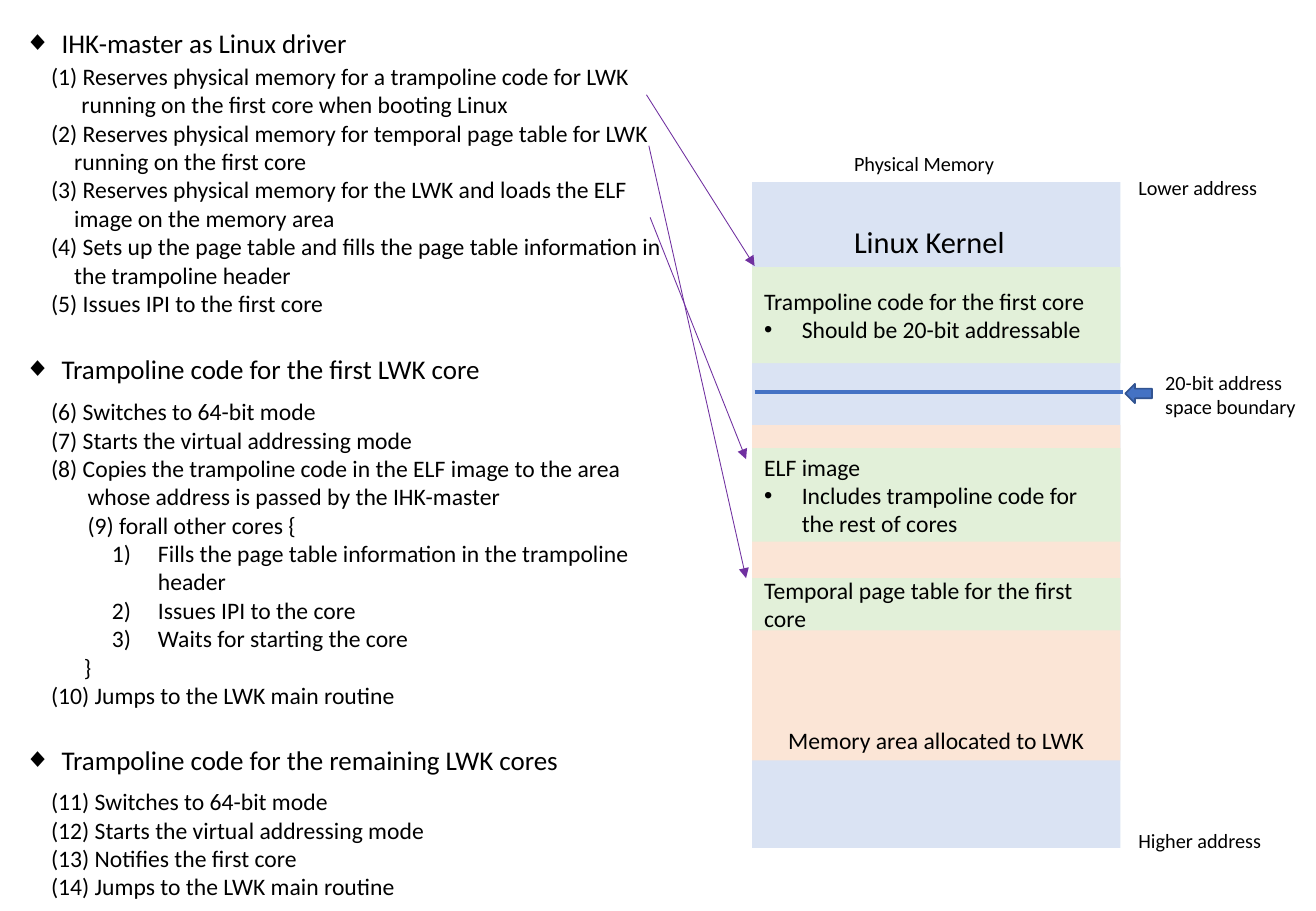
from dataclasses import dataclass
from typing import NamedTuple

from lxml.etree import SubElement
from pptx import Presentation
from pptx.dml.color import RGBColor
from pptx.enum.shapes import MSO_CONNECTOR, MSO_SHAPE
from pptx.enum.text import MSO_ANCHOR, MSO_AUTO_SIZE, PP_ALIGN
from pptx.oxml.ns import qn
from pptx.util import Inches, Pt

COLORS = {
    "text": "000000",
    "kernel": "DAE3F3",
    "lwk": "FBE5D6",
    "loaded": "E2F0D9",
    "boundary": "4472C4",
    "boundary_edge": "325491",
    "link": "7030A0",
}
MEMORY_LEFT, MEMORY_WIDTH = 6.19, 3.03


class Item(NamedTuple):
    text: str
    left: float = 0
    hang: float = 0
    bullet: str = ""


@dataclass
class Section:
    heading: str
    heading_top: float
    top: float
    width: float
    height: float
    holder: int
    items: list[Item]


@dataclass
class Region:
    top: float
    height: float
    color: str
    items: list[Item]
    anchor: MSO_ANCHOR = MSO_ANCHOR.MIDDLE
    align: PP_ALIGN = PP_ALIGN.LEFT


@dataclass
class Label:
    text: str
    left: float
    top: float
    width: float
    height: float = 0.3
    size: float = 12


@dataclass
class Line:
    start: tuple[float, float]
    end: tuple[float, float]
    color: str = "link"
    width: float = 0.5
    arrow: bool = True


SECTIONS = [
    Section("IHK-master as Linux driver", 0.17, 0.46, 5.42, 2.22, 1, [
        Item("(1) Reserves physical memory for a trampoline code for LWK running on the first core when booting Linux", 0.25, 0.25),
        Item("(2) Reserves physical memory for temporal page table for LWK running on the first core", 0.19, 0.19),
        Item("(3) Reserves physical memory for the LWK and loads the ELF image on the memory area", 0.19, 0.19),
        Item("(4) Sets up the page table and fills the page table information in the trampoline header", 0.19, 0.19),
        Item("(5) Issues IPI to the first core", 0.19, 0.19),
    ]),
    Section("Trampoline code for the first LWK core", 2.85, 3.22, 5.35, 2.69, 2, [
        Item("(6) Switches to 64-bit mode"),
        Item("(7) Starts the virtual addressing mode"),
        Item("(8) Copies the trampoline code in the ELF image to the area whose address is passed by the IHK-master", 0.3, 0.3),
        Item("(9) forall other cores {", 0.3),
        Item("Fills the page table information in the trampoline header", 0.88, 0.38, "1)"),
        Item("Issues IPI to the core", 0.88, 0.38, "1)"),
        Item("Waits for starting the core", 0.88, 0.38, "1)"),
        Item("}", 0.27),
        Item("(10) Jumps to the LWK main routine"),
    ]),
    Section("Trampoline code for the remaining LWK cores", 6.07, 6.43, 5.87, 1.04, 3, [
        Item("(11) Switches to 64-bit mode", 0.3, 0.3),
        Item("(12) Starts the virtual addressing mode", 0.3, 0.3),
        Item("(13) Notifies the first core", 0.3, 0.3),
        Item("(14) Jumps to the LWK main routine", 0.3, 0.3),
    ]),
]
REGIONS = [
    Region(1.5, 5.48, "kernel", []),
    Region(2.2, 0.79, "loaded", [
        Item("Trampoline code for the first core"),
        Item("Should be 20-bit addressable", 0.31, 0.31, "•"),
    ]),
    Region(3.5, 2.76, "lwk", [Item("Memory area allocated to LWK")],
           MSO_ANCHOR.BOTTOM, PP_ALIGN.CENTER),
    Region(3.69, 0.77, "loaded", [
        Item("ELF image"),
        Item("Includes trampoline code for the rest of cores", 0.31, 0.31, "•"),
    ]),
    Region(4.76, 0.43, "loaded", [Item("Temporal page table for the first core")]),
]
LABELS = [
    Label("Physical Memory", 6.93, 1.2, 1.41),
    Label("Linux Kernel", 6.93, 1.79, 1.46, 0.4, 18),
    Label("Lower address", 9.27, 1.39, 1.2),
    Label("20-bit address space boundary", 9.49, 3, 1.33, 0.5),
    Label("Higher address", 9.27, 6.77, 1.38),
]
LINES = [
    Line((6.21, 3.23), (9.24, 3.23), "boundary", 2.25, False),
    Line((5.32, 0.78), (6.21, 2.19)),
    Line((5.34, 1.2), (6.14, 4.76)),
    Line((5.35, 1.79), (6.14, 3.78)),
]


def rgb(name: str) -> RGBColor:
    return RGBColor.from_string(COLORS[name])


def set_bullet(p, item: Item) -> None:
    pPr = p._p.get_or_add_pPr()
    pPr.set("marL", str(Inches(item.left)))
    pPr.set("indent", str(-Inches(item.hang)))
    if item.bullet == "1)":
        SubElement(pPr, qn("a:buAutoNum"), type="arabicParenR")
    elif item.bullet:
        SubElement(pPr, qn("a:buFont"), typeface="Arial")
        SubElement(pPr, qn("a:buChar"), char=item.bullet)
    else:
        SubElement(pPr, qn("a:buNone"))


def write(sp, items: list[Item], size: float = 14,
          anchor=MSO_ANCHOR.TOP, align=PP_ALIGN.LEFT) -> None:
    tf = sp.text_frame
    tf.word_wrap = True
    tf.auto_size = MSO_AUTO_SIZE.NONE
    tf.vertical_anchor = anchor
    for i, item in enumerate(items):
        p = tf.add_paragraph() if i else tf.paragraphs[0]
        p.alignment = align
        p.line_spacing = 1.0
        p.space_before = p.space_after = Pt(0)
        set_bullet(p, item)
        r = p.add_run()
        r.text = item.text
        r.font.name = "Calibri"
        r.font.size = Pt(size)
        r.font.bold = False
        r.font.color.rgb = rgb("text")


def add_text(s, left: float, top: float, width: float, height: float,
             item: Item, size: float) -> None:
    sp = s.shapes.add_textbox(Inches(left), Inches(top), Inches(width), Inches(height))
    write(sp, [item], size)


def add_section(s, sec: Section) -> None:
    add_text(s, 0.1, sec.heading_top, 6.07, 0.37, Item(sec.heading, 0.31, 0.31, "◆"), 16)
    sp = s.placeholders[sec.holder]
    sp.left, sp.top = Inches(0.32), Inches(sec.top)
    sp.width, sp.height = Inches(sec.width), Inches(sec.height)
    write(sp, sec.items)


def add_region(s, reg: Region) -> None:
    sp = s.shapes.add_shape(MSO_SHAPE.RECTANGLE, Inches(MEMORY_LEFT), Inches(reg.top),
                            Inches(MEMORY_WIDTH), Inches(reg.height))
    sp.shadow.inherit = False
    sp.fill.solid()
    sp.fill.fore_color.rgb = rgb(reg.color)
    sp.line.fill.background()
    write(sp, reg.items, anchor=reg.anchor, align=reg.align)


def add_line(s, line: Line) -> None:
    cx = s.shapes.add_connector(MSO_CONNECTOR.STRAIGHT,
                                *(Inches(v) for v in line.start + line.end))
    cx.line.color.rgb = rgb(line.color)
    cx.line.width = Pt(line.width)
    if line.arrow:
        SubElement(cx.line._get_or_add_ln(), qn("a:tailEnd"), type="triangle")
    SubElement(cx._element.spPr, qn("a:effectLst"))


def add_boundary_arrow(s) -> None:
    sp = s.shapes.add_shape(MSO_SHAPE.LEFT_ARROW, Inches(9.26), Inches(3.16),
                            Inches(0.22), Inches(0.16))
    sp.shadow.inherit = False
    sp.fill.solid()
    sp.fill.fore_color.rgb = rgb("boundary")
    sp.line.color.rgb = rgb("boundary_edge")
    sp.line.width = Pt(1)


def main() -> None:
    prs = Presentation()
    prs.slide_width, prs.slide_height = Inches(10.83), Inches(7.5)
    s = prs.slides.add_slide(prs.slide_layouts.get_by_name("Comparison"))
    for sec in SECTIONS:
        add_section(s, sec)
    used = {sec.holder for sec in SECTIONS}
    for sp in list(s.placeholders):
        if sp.placeholder_format.idx not in used:
            sp._element.getparent().remove(sp._element)
    for reg in REGIONS:
        add_region(s, reg)
    for lb in LABELS:
        add_text(s, lb.left, lb.top, lb.width, lb.height, Item(lb.text), lb.size)
    for line in LINES:
        add_line(s, line)
    add_boundary_arrow(s)
    prs.save("out.pptx")


if __name__ == "__main__":
    main()
